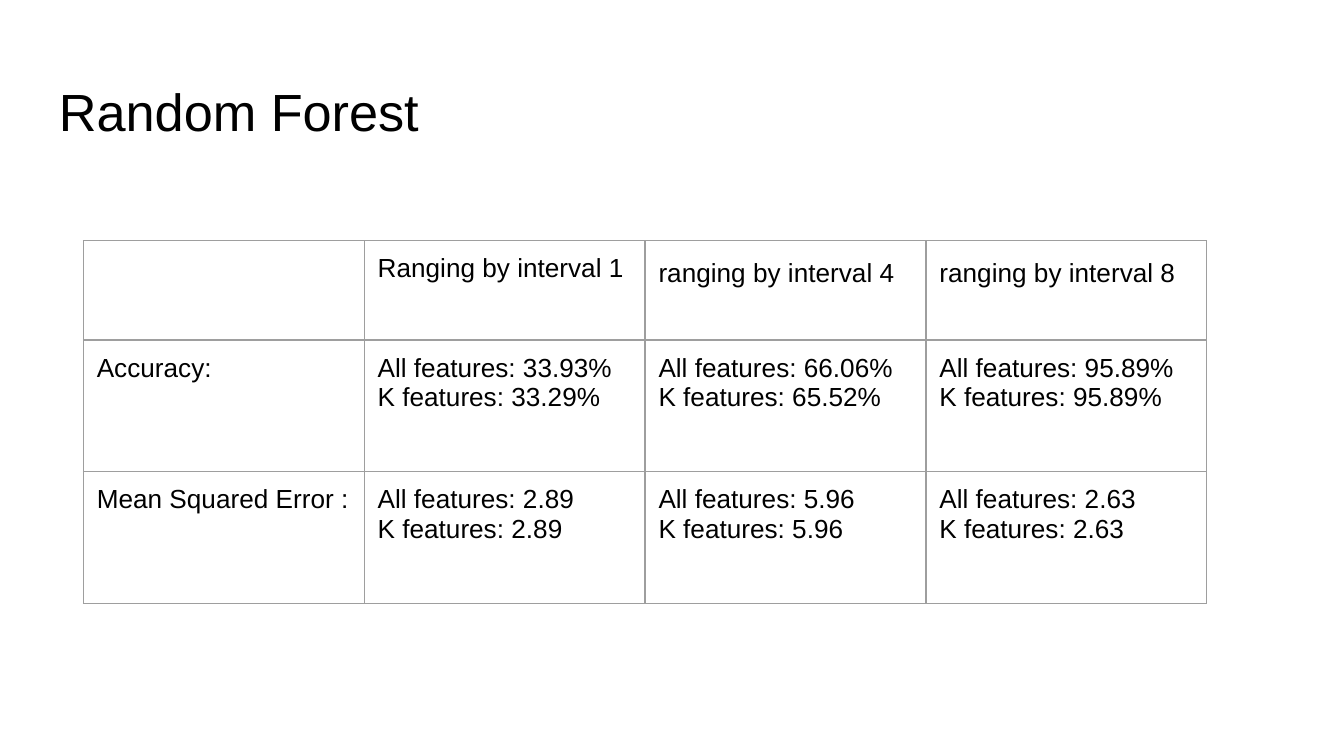
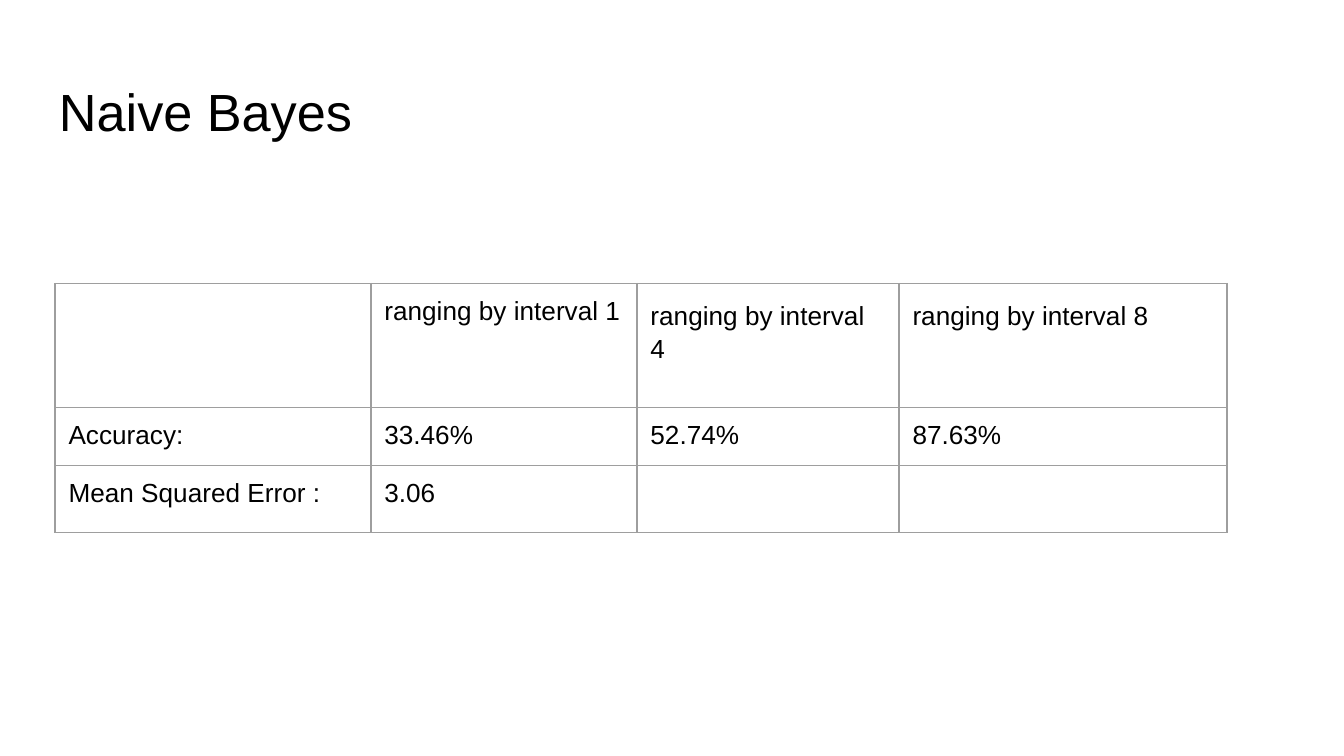
from dataclasses import dataclass

from lxml import etree
from pptx import Presentation
from pptx.dml.color import RGBColor
from pptx.enum.text import MSO_ANCHOR
from pptx.oxml.ns import qn
from pptx.util import Inches, Pt

TOP = MSO_ANCHOR.TOP
BLANK_LAYOUT = 6
BORDER_SIDES = ("a:lnL", "a:lnR", "a:lnT", "a:lnB")
PAGE_WIDTH = 10
PAGE_HEIGHT = PAGE_WIDTH * 9 / 16


@dataclass(frozen=True)
class Theme:
    font: str = "Arial"
    ink: str = "000000"
    paper: str = "FFFFFF"
    border: str = "9E9E9E"
    border_width: float = 0.75
    title_size: int = 28
    cell_size: int = 14
    inset: float = 0.1
    header_spacing: float = 1.15


THEME = Theme()
TITLE_BOX = (0.34, 0.49, 9.32, 0.63)
ROW_LABELS = ("", "Accuracy:", "Mean Squared Error :")

RESULTS = [
    {
        "title": "Random Forest",
        "origin": (0.62, 1.79),
        "widths": [2.09] * 4,
        "heights": [0.74, 0.98, 0.98],
        "values": [
            ["Ranging by interval 1", "ranging by interval 4", "ranging by interval 8"],
            [
                "All features: 33.93%\nK features: 33.29%",
                "All features: 66.06%\nK features: 65.52%",
                "All features: 95.89%\nK features: 95.89%",
            ],
            [
                "All features: 2.89\nK features: 2.89",
                "All features: 5.96\nK features: 5.96",
                "All features: 2.63\nK features: 2.63",
            ],
        ],
    },
    {
        "title": "Naive Bayes",
        "origin": (0.41, 2.11),
        "widths": [2.35, 1.98, 1.95, 2.44],
        "heights": [0.92, 0.41, 0.48],
        "values": [
            ["ranging by interval 1", "ranging by interval 4", "ranging by interval 8"],
            ["33.46%", "52.74%", "87.63%"],
            ["3.06", "", ""],
        ],
    },
]


def write_text(frame, text, *, size, spacing=1.0):
    frame.word_wrap = True
    for index, line in enumerate(text.split("\n")):
        para = frame.paragraphs[0] if index == 0 else frame.add_paragraph()
        para.line_spacing = spacing
        if not line:
            continue
        span = para.add_run()
        span.text = line
        span.font.name = THEME.font
        span.font.size = Pt(size)
        span.font.bold = False
        span.font.color.rgb = RGBColor.from_string(THEME.ink)


def set_insets(target):
    target.margin_left = target.margin_right = Inches(THEME.inset)
    target.margin_top = target.margin_bottom = Inches(THEME.inset)


def add_title(page, text, box):
    frame = page.shapes.add_textbox(*map(Inches, box)).text_frame
    set_insets(frame)
    frame.vertical_anchor = TOP
    write_text(frame, text, size=THEME.title_size)


def outline_cell(cell):
    properties = cell._tc.get_or_add_tcPr()
    for position, side in enumerate(BORDER_SIDES):
        line = etree.Element(qn(side), w=str(Pt(THEME.border_width)))
        fill = etree.SubElement(line, qn("a:solidFill"))
        etree.SubElement(fill, qn("a:srgbClr"), val=THEME.border)
        properties.insert(position, line)


def add_results_table(page, rows, box, widths, heights):
    table = page.shapes.add_table(
        len(heights), len(widths), *map(Inches, box)
    ).table
    table.first_row = False
    table.horz_banding = False
    for column, width in zip(table.columns, widths):
        column.width = Inches(width)
    for row, height in zip(table.rows, heights):
        row.height = Inches(height)
    for row_index, texts in enumerate(rows):
        for column_index, text in enumerate(texts):
            cell = table.cell(row_index, column_index)
            cell.fill.background()
            cell.vertical_anchor = TOP
            set_insets(cell)
            outline_cell(cell)
            spaced = row_index == 0 and column_index > 1
            write_text(
                cell.text_frame,
                text,
                size=THEME.cell_size,
                spacing=THEME.header_spacing if spaced else 1.0,
            )


def add_results_page(deck, result):
    page = deck.slides.add_slide(deck.slide_layouts[BLANK_LAYOUT])
    page.background.fill.solid()
    page.background.fill.fore_color.rgb = RGBColor.from_string(THEME.paper)
    add_title(page, result["title"], TITLE_BOX)
    widths, heights = result["widths"], result["heights"]
    rows = [[label, *values] for label, values in zip(ROW_LABELS, result["values"])]
    box = (*result["origin"], sum(widths), sum(heights))
    add_results_table(page, rows, box, widths, heights)


def main():
    deck = Presentation()
    deck.slide_width = Inches(PAGE_WIDTH)
    deck.slide_height = Inches(PAGE_HEIGHT)
    for result in RESULTS:
        add_results_page(deck, result)
    deck.save("out.pptx")


if __name__ == "__main__":
    main()
